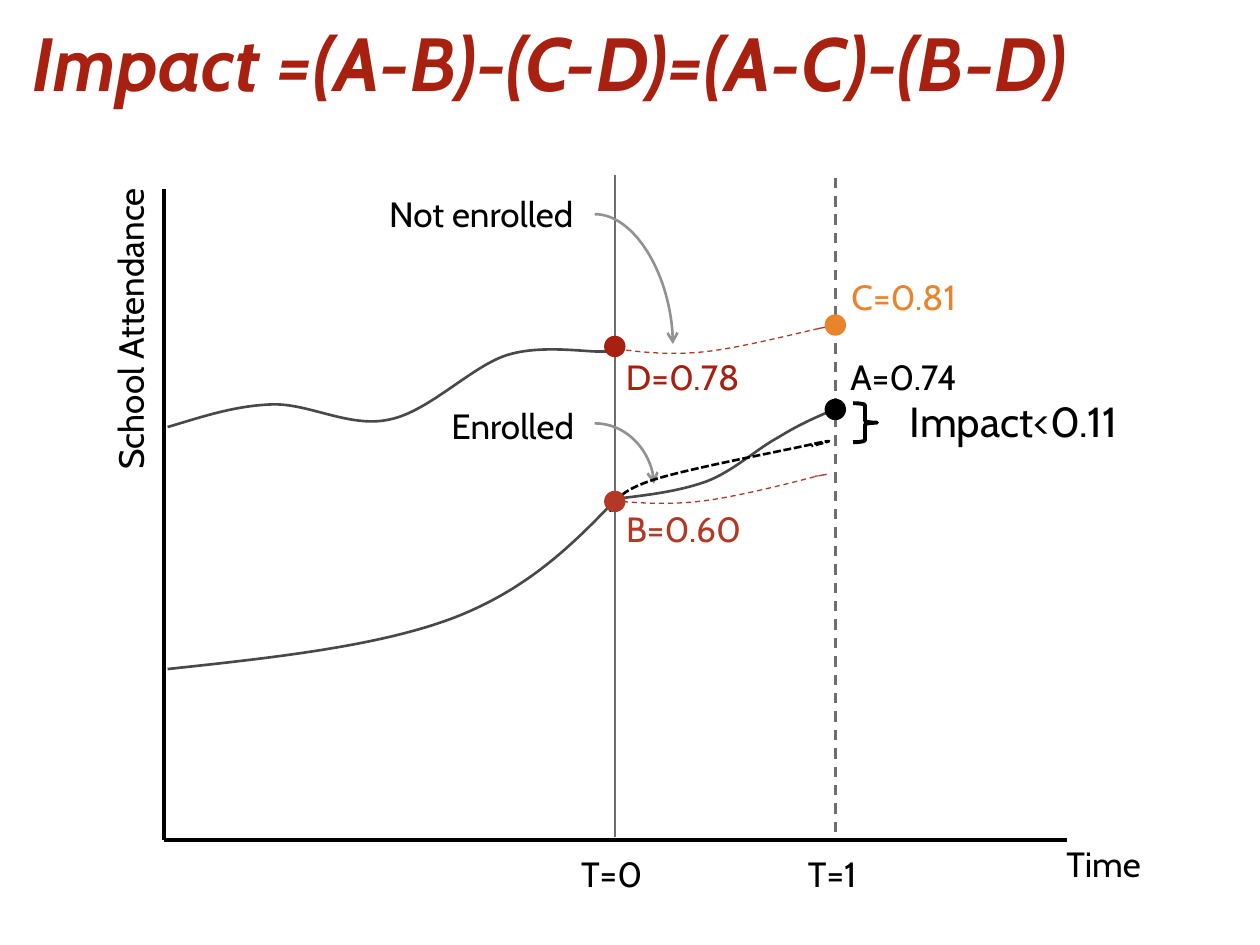
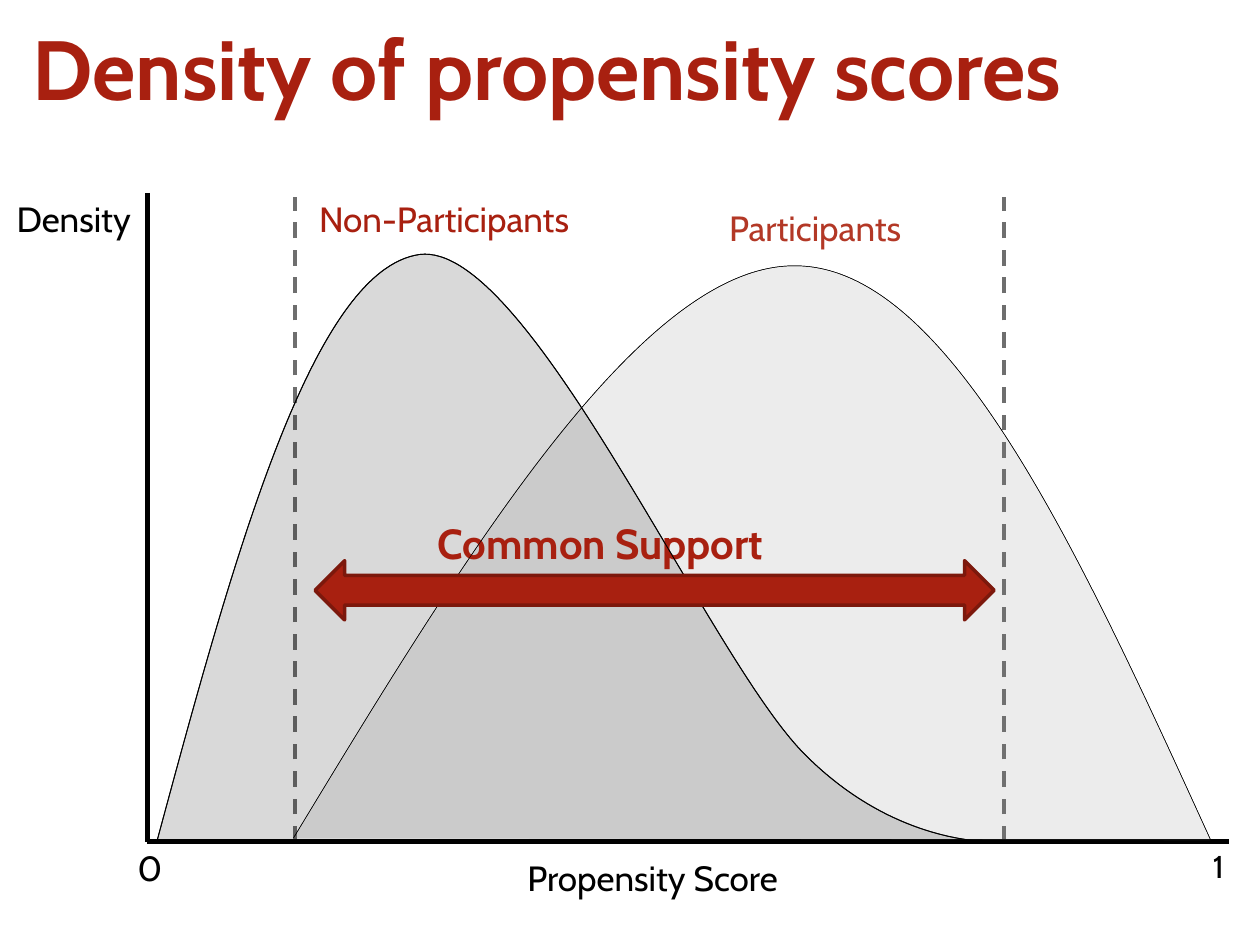
from dataclasses import dataclass
from typing import Any

from lxml.etree import SubElement
from pptx import Presentation
from pptx.dml.color import RGBColor
from pptx.enum.dml import MSO_LINE
from pptx.enum.shapes import MSO_CONNECTOR, MSO_SHAPE
from pptx.enum.text import MSO_ANCHOR, PP_ALIGN
from pptx.oxml.ns import qn
from pptx.util import Inches, Pt

# Shared look
FONT = "Cabin"
RED, BRICK, DARK = "A82010", "B33826", "7C180C"
AMBER, BLACK, WHITE = "E8842B", "000000", "FFFFFF"
SLATE, GREY, SILVER, MID = "494949", "6E6E6E", "929292", "808080"
LEFT, MIDDLE = PP_ALIGN.LEFT, PP_ALIGN.CENTER
DASH, DOTS = MSO_LINE.DASH, MSO_LINE.SQUARE_DOT


def color(code):
    return RGBColor.from_string(code)


def write(shape, text, size=20, ink=BLACK, bold=False, italic=False,
          align=MIDDLE):
    frame = shape.text_frame
    frame.word_wrap = True
    frame.vertical_anchor = MSO_ANCHOR.TOP
    para = frame.paragraphs[0]
    para.alignment = align
    run = para.add_run()
    run.text = text
    font = run.font
    font.name, font.size = FONT, Pt(size)
    font.bold, font.italic = bold, italic
    font.color.rgb = color(ink)


def stroke(shape, ink, width, dash=None):
    shape.line.color.rgb = color(ink)
    shape.line.width = Pt(width)
    if dash:
        shape.line.dash_style = dash


def paint(shape, fill=None, alpha=None, ink=None, width=1, dash=None):
    shape.shadow.inherit = False
    if fill:
        shape.fill.solid()
        shape.fill.fore_color.rgb = color(fill)
    else:
        shape.fill.background()
    if alpha:
        tone = shape.fill._xPr.find(qn("a:solidFill"))[0]
        SubElement(tone, qn("a:alpha")).set("val", str(alpha * 1000))
    if ink:
        stroke(shape, ink, width, dash)
    else:
        shape.line.fill.background()


def soften(shape):
    """Turn each three line segments of an outline into one cubic curve."""
    route = next(shape._element.iter(qn("a:path")))
    lines = route.findall(qn("a:lnTo"))
    for i in range(0, len(lines) - 2, 3):
        arc = SubElement(route, qn("a:cubicBezTo"))
        lines[i].addprevious(arc)
        for line in lines[i:i + 3]:
            arc.append(line[0])
            route.remove(line)


@dataclass
class Plot:
    """A plot box; all its parts are placed from its top left corner."""
    slide: Any
    x: float
    y: float
    w: float
    h: float

    def place(self, x, y):
        return Inches(self.x + x), Inches(self.y + y)

    def line(self, start, end, ink, width, dash=None,
             kind=MSO_CONNECTOR.STRAIGHT):
        link = self.slide.shapes.add_connector(
            kind, *self.place(*start), *self.place(*end))
        stroke(link, ink, width, dash)
        SubElement(link._element.spPr, qn("a:effectLst"))
        return link

    def bend(self, start, end):
        link = self.line(start, end, SILVER, 1.5, kind=MSO_CONNECTOR.CURVE)
        props = link._element.spPr
        props.find(qn("a:prstGeom")).set("prst", "curvedConnector2")
        SubElement(props.find(qn("a:ln")), qn("a:tailEnd")).set("type", "arrow")

    def axes(self, width):
        self.line((0, 0), (0, self.h), BLACK, width)
        self.line((0, self.h), (self.w, self.h), BLACK, width)

    def curve(self, knots, **look):
        first, *rest = [self.place(*p) for p in knots]
        pen = self.slide.shapes.build_freeform(*first)
        pen.add_line_segments(rest, close=False)
        item = pen.convert_to_shape()
        soften(item)
        paint(item, **look)

    def shape(self, kind, x, y, w, h, **look):
        item = self.slide.shapes.add_shape(
            kind, *self.place(x, y), Inches(w), Inches(h))
        paint(item, **look)
        return item

    def dot(self, x, y, fill, size=0.17):
        self.shape(MSO_SHAPE.OVAL, x - size / 2, y - size / 2, size, size,
                   fill=fill)

    def label(self, text, x, y, w, h=0.44, turn=0, fill=None, **look):
        box = self.slide.shapes.add_textbox(
            *self.place(x, y), Inches(w), Inches(h))
        box.rotation = turn
        if fill:
            paint(box, fill=fill)
        write(box, text, **look)


def base(deck, slide):
    """White panels at the foot of the master, behind every slide."""
    page = Plot(slide, 0, 0, 10, 7.5)
    tree = deck.slide_master.shapes._spTree
    panels = ((MSO_SHAPE.ROUND_2_SAME_RECTANGLE, 8.52, 6.78, 1.33, 0.73),
              (MSO_SHAPE.RECTANGLE, 8.52, 6.64, 1.48, 0.86),
              (MSO_SHAPE.RECTANGLE, 0, 6.38, 10, 1.14))
    for i, panel in enumerate(panels):
        item = page.shape(*panel, fill=WHITE)._element
        item.nvSpPr.cNvPr.set("id", str(20 + i))
        tree.insert(2 + i, item)


def begin(deck, title, **look):
    slide = deck.slides.add_slide(deck.slide_layouts[5])
    head = slide.shapes.title
    head.left, head.top = Inches(0.16), Inches(0.08)
    head.width, head.height = Inches(9.69), Inches(0.94)
    write(head, title, ink=RED, bold=True, align=LEFT, **look)
    return slide


def impact(plot):
    now, then = 3.58, 5.33

    # Trend of those not enrolled, axes and time marks
    plot.curve([(0.03, 1.89), (0.3, 1.81), (0.56, 1.72), (0.86, 1.71),
                (1.15, 1.7), (1.48, 1.9), (1.79, 1.83),
                (2.1, 1.77), (2.44, 1.41), (2.72, 1.32),
                (3, 1.23), (3.37, 1.3), (3.49, 1.29),
                (3.61, 1.29), (3.53, 1.29), (3.45, 1.29)],
               fill=WHITE, ink=SLATE, width=1.5)
    plot.axes(2.25)
    plot.line((now, -0.11), (now, 5.14), GREY, 1.5)

    # Axis labels
    plot.label("School Attendance", -1.55, 0.89, 2.57, turn=270)
    plot.label("Impact<0.11", 5.65, 1.59, 2.19, 0.5, size=24)
    plot.line((then, -0.09), (then, 5.16), GREY, 1.5, DASH)

    # Values at each point
    for text, x, y, w, ink in (("B=0.60", 3.57, 2.48, 1.25, BRICK),
                               ("A=0.74", 5.35, 1.27, 1.17, BLACK),
                               ("C=0.81", 5.36, 0.64, 1.33, AMBER),
                               ("D=0.78", 3.57, 1.27, 1.33, RED)):
        plot.label(text, x, y, w, ink=ink, align=LEFT)
    for text, x in (("T=0", now), ("T=1", then)):
        plot.label(text, x - 0.44, 5.22, 0.83)

    # Expected paths after T=0
    plot.curve([(3.6, 1.27), (3.82, 1.3), (4.05, 1.32), (4.31, 1.29),
                (4.58, 1.26), (5.05, 1.14), (5.19, 1.11),
                (5.33, 1.08), (5.25, 1.1), (5.18, 1.11)],
               fill=WHITE, ink=BRICK, width=0.75, dash=DASH)
    plot.curve([(3.5, 2.47), (3.74, 2.49), (3.97, 2.51), (4.25, 2.48),
                (4.53, 2.45), (5.03, 2.32), (5.18, 2.28),
                (5.33, 2.25), (5.25, 2.27), (5.17, 2.28)],
               fill=WHITE, ink=BRICK, width=0.75, dash=DASH)

    # Path of those enrolled and the upper dots
    plot.curve([(3.58, 2.46), (3.84, 2.43), (4.09, 2.4), (4.31, 2.32),
                (4.52, 2.24), (4.71, 2.06), (4.88, 1.97),
                (5.04, 1.87), (5.18, 1.81), (5.32, 1.75)],
               fill=WHITE, ink=SLATE, width=1.5)
    plot.dot(then, 1.08, AMBER)
    plot.dot(now, 1.25, RED)
    plot.dot(then, 1.75, BLACK)

    # Names with their arrows, and the brace
    plot.label("Time", 6.93, 5.14, 1.06)
    plot.label("Enrolled", 2.12, 1.66, 1.3)
    plot.label("Not enrolled", 1.62, -0.02, 1.8)
    plot.bend((3.42, 0.2), (4.04, 1.23))
    plot.bend((3.42, 1.86), (3.89, 2.34))
    plot.shape(MSO_SHAPE.RIGHT_BRACE, 5.47, 1.7, 0.19, 0.31,
               ink=BLACK, width=2.25)

    # Adjusted path, earlier trend of those enrolled and its dot
    plot.curve([(3.54, 2.56), (3.58, 2.48), (3.61, 2.4), (3.88, 2.31),
                (4.15, 2.22), (4.96, 2.07), (5.17, 2.02),
                (5.37, 1.98), (5.26, 2.01), (5.14, 2.04)],
               ink=BLACK, width=1.5, dash=DOTS)
    plot.curve([(0.03, 3.81), (0.87, 3.72), (1.71, 3.63), (2.31, 3.4),
                (2.9, 3.17), (3.26, 2.81), (3.61, 2.44)],
               ink=SLATE, width=1.5)
    plot.dot(now, 2.48, BRICK)


def density(plot):
    # Labels
    plot.label("Density", -1.17, -0.01, 1.17, fill=WHITE)
    plot.label("Propensity Score", 2.81, 5.22, 2.4, fill=WHITE)
    plot.label("0", -0.23, 5.14, 0.5)
    plot.label("1", 8.25, 5.14, 0.5, 0.4, size=18)
    plot.label("Participants", 4.46, 0.06, 1.68, fill=WHITE, ink=BRICK)
    plot.label("Non-Participants", 1.17, -0.01, 2.37, fill=WHITE, ink=RED)

    # Limits of the common range and axes
    for x in (1.17, 6.8):
        plot.line((x, plot.h), (x, 0.03), GREY, 2.25, DASH)
    plot.axes(3)

    # Two densities: areas first, outlines over the caption
    others = [(0.08, 5.13), (0.69, 2.87), (1.31, 0.61), (2.16, 0.49),
              (3.02, 0.38), (4.44, 3.67), (5.21, 4.45),
              (5.98, 5.23), (6.8, 5.15), (6.8, 5.15), (6.8, 5.15)]
    members = [(1.16, 5.12), (2.54, 2.84), (3.93, 0.57), (5.14, 0.58),
               (6.36, 0.58), (7.4, 2.86), (8.44, 5.14)]
    thick, thin = {"ink": BLACK, "width": 0.5}, {"ink": BLACK, "width": 0.25}
    plot.curve(others, fill=BLACK, alpha=15, **thick)
    plot.curve(members, fill=MID, alpha=15, **thin)
    plot.label("Common Support", 1.8, 2.53, 3.59, 0.5,
               size=24, ink=RED, bold=True)
    plot.curve(members, **thin)
    plot.curve(others, **thick)
    plot.shape(MSO_SHAPE.LEFT_RIGHT_ARROW, 1.33, 2.92, 5.39, 0.47,
               fill=RED, ink=DARK, width=2)


def main():
    deck = Presentation()
    deck.slide_width, deck.slide_height = Inches(10), Inches(7.5)
    slide = begin(deck, "Impact =(A-B)-(C-D)=(A-C)-(B-D)",
                  size=43, italic=True)
    base(deck, slide)
    impact(Plot(slide, 1.3, 1.5, 7.17, 5.17))
    slide = begin(deck, "Density of propensity scores", size=48)
    density(Plot(slide, 1.17, 1.53, 8.58, 5.15))
    deck.save("out.pptx")


if __name__ == "__main__":
    main()
